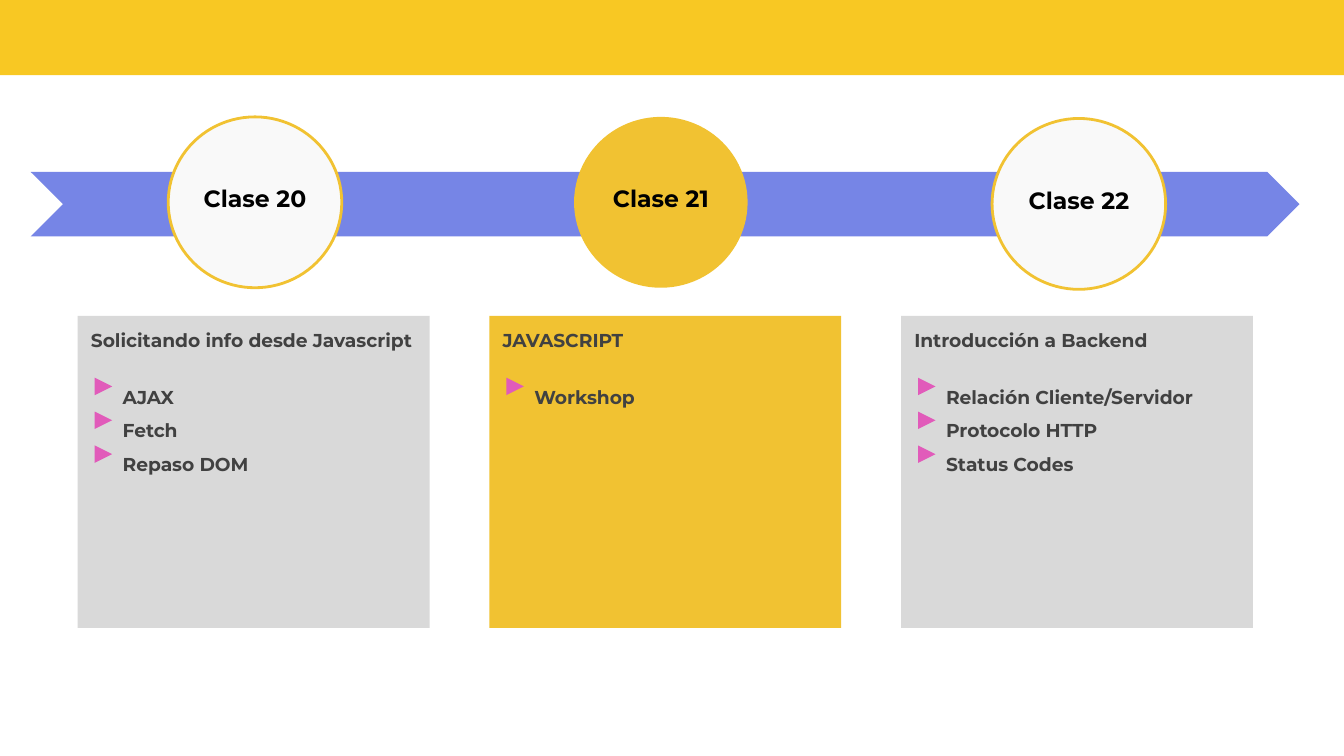
from dataclasses import dataclass

from pptx import Presentation
from pptx.dml.color import RGBColor
from pptx.enum.shapes import MSO_SHAPE
from pptx.enum.text import MSO_ANCHOR, PP_ALIGN
from pptx.util import Cm, Pt

FONT = "Montserrat"
YELLOW = RGBColor(0xF8, 0xC8, 0x23)
GOLD = RGBColor(0xF1, 0xC2, 0x32)
BLUE = RGBColor(0x76, 0x85, 0xE6)
PINK = RGBColor(0xE1, 0x5B, 0xBA)
OFF_WHITE = RGBColor(0xF9, 0xF9, 0xF9)
GREY = RGBColor(0xD9, 0xD9, 0xD9)
DARK = RGBColor(0x41, 0x41, 0x41)
BLACK = RGBColor(0x00, 0x00, 0x00)


@dataclass
class Box:
    left: float
    top: float
    width: float
    height: float

    def lengths(self):
        return Cm(self.left), Cm(self.top), Cm(self.width), Cm(self.height)


LESSONS = [
    ("Clase 20", "Solicitando info desde Javascript", ["AJAX", "Fetch", "Repaso DOM"]),
    ("Clase 21", "JAVASCRIPT", ["Workshop"]),
    ("Clase 22", "Introducción a Backend",
     ["Relación Cliente/Servidor", "Protocolo HTTP", "Status Codes"]),
]
CURRENT_LESSON = 1
CIRCLE_CORNERS = [(3.18, 2.21), (10.85, 2.21), (18.75, 2.24)]
CARD_LEFT, CARD_STEP = 1.47, 7.78
MARKER_STEP = 0.64


def add_filled(page, kind, box, fill):
    shape = page.shapes.add_shape(kind, *box.lengths())
    shape.shadow.inherit = False
    shape.fill.solid()
    shape.fill.fore_color.rgb = fill
    shape.line.fill.background()
    return shape


def prepare_frame(frame):
    frame.word_wrap = True
    frame.vertical_anchor = MSO_ANCHOR.TOP
    frame.margin_left = frame.margin_right = Cm(0.25)
    frame.margin_top = frame.margin_bottom = Cm(0.25)


def style_para(para, size, color, align):
    para.alignment = align
    for span in para.runs:
        span.font.name = FONT
        span.font.size = Pt(size)
        span.font.bold = True
        span.font.color.rgb = color


def add_circle(page, box, name, current):
    circle = add_filled(page, MSO_SHAPE.OVAL, box, GOLD if current else OFF_WHITE)
    if not current:
        circle.line.color.rgb = GOLD
        circle.line.width = Pt(1.5)
    label_width = 2.54
    label_box = Box(box.left + (box.width - label_width) / 2, box.top + 1.02, label_width, 0.84)
    label = page.shapes.add_textbox(*label_box.lengths())
    prepare_frame(label.text_frame)
    label.text_frame.text = name
    style_para(label.text_frame.paragraphs[0], 12.6, BLACK, PP_ALIGN.CENTER)


def add_card(page, box, heading, topics, current):
    card = add_filled(page, MSO_SHAPE.RECTANGLE, box, GOLD if current else GREY)
    frame = card.text_frame
    prepare_frame(frame)
    frame.text = heading
    style_para(frame.paragraphs[0], 10, DARK, PP_ALIGN.LEFT)
    for index, topic in enumerate(topics):
        para = frame.add_paragraph()
        para.text = topic
        para.line_spacing = 1.5
        para.space_before = Pt(0 if index else 12.2)
        para._p.get_or_add_pPr().set("marL", str(Cm(0.6)))
        style_para(para, 10, DARK, PP_ALIGN.LEFT)
        marker_box = Box(box.left + 0.32, box.top + 1.17 + index * MARKER_STEP, 0.33, 0.33)
        marker = add_filled(page, MSO_SHAPE.ISOSCELES_TRIANGLE, marker_box, PINK)
        marker.rotation = 90


def add_timeline(page):
    add_filled(page, MSO_SHAPE.CHEVRON, Box(0.58, 3.25, 23.98, 1.22), BLUE)
    for index, (name, heading, topics) in enumerate(LESSONS):
        current = index == CURRENT_LESSON
        add_circle(page, Box(*CIRCLE_CORNERS[index], 3.28, 3.23), name, current)
        card_box = Box(CARD_LEFT + index * CARD_STEP, 5.97, 6.65, 5.9)
        add_card(page, card_box, heading, topics, current)


def main():
    deck = Presentation()
    deck.slide_width = Cm(25.4)
    deck.slide_height = Cm(14.29)
    page = deck.slides.add_slide(deck.slide_layouts[6])
    add_filled(page, MSO_SHAPE.RECTANGLE, Box(-0.03, -0.13, 25.48, 1.55), YELLOW)
    add_timeline(page)
    deck.save("out.pptx")


if __name__ == "__main__":
    main()
